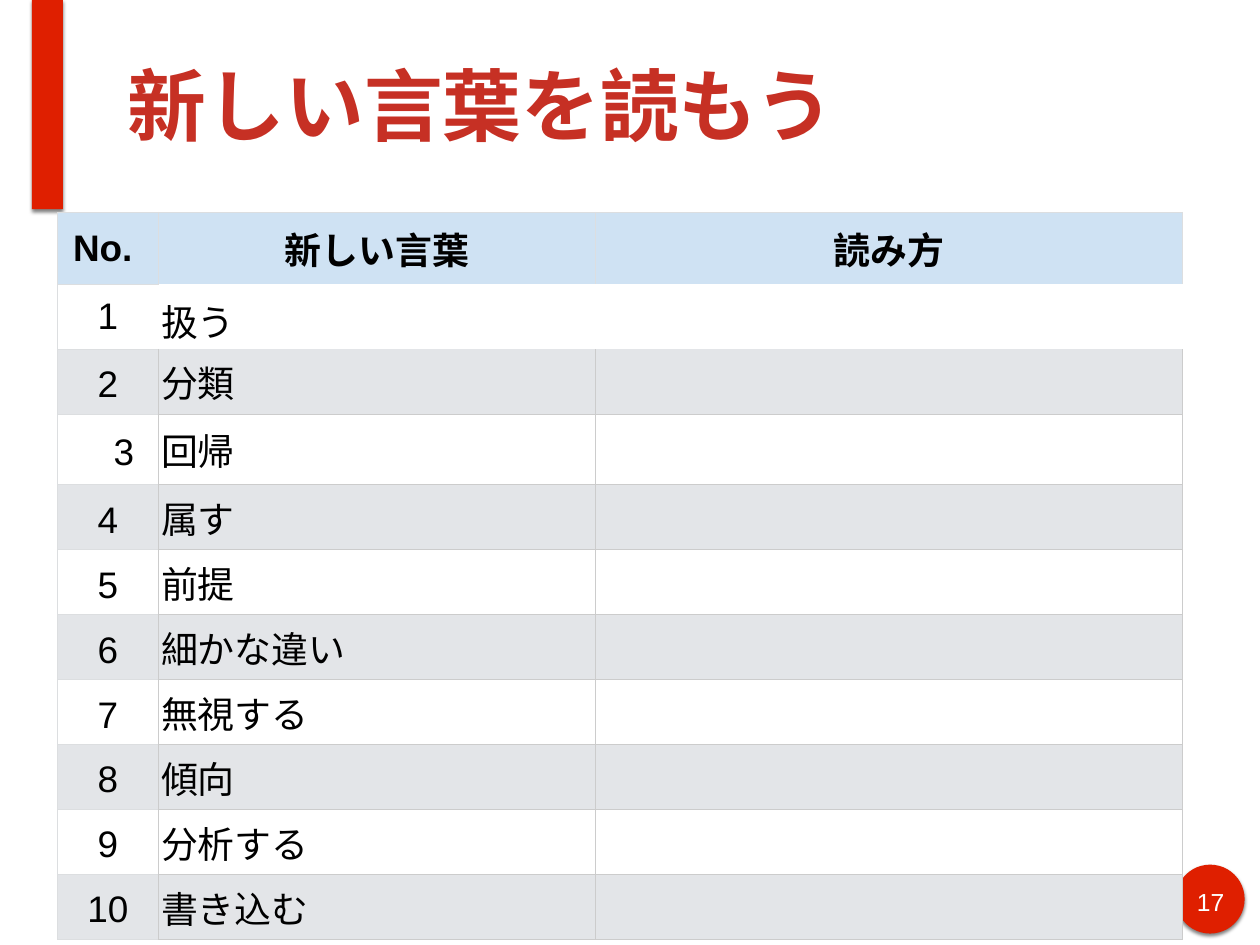
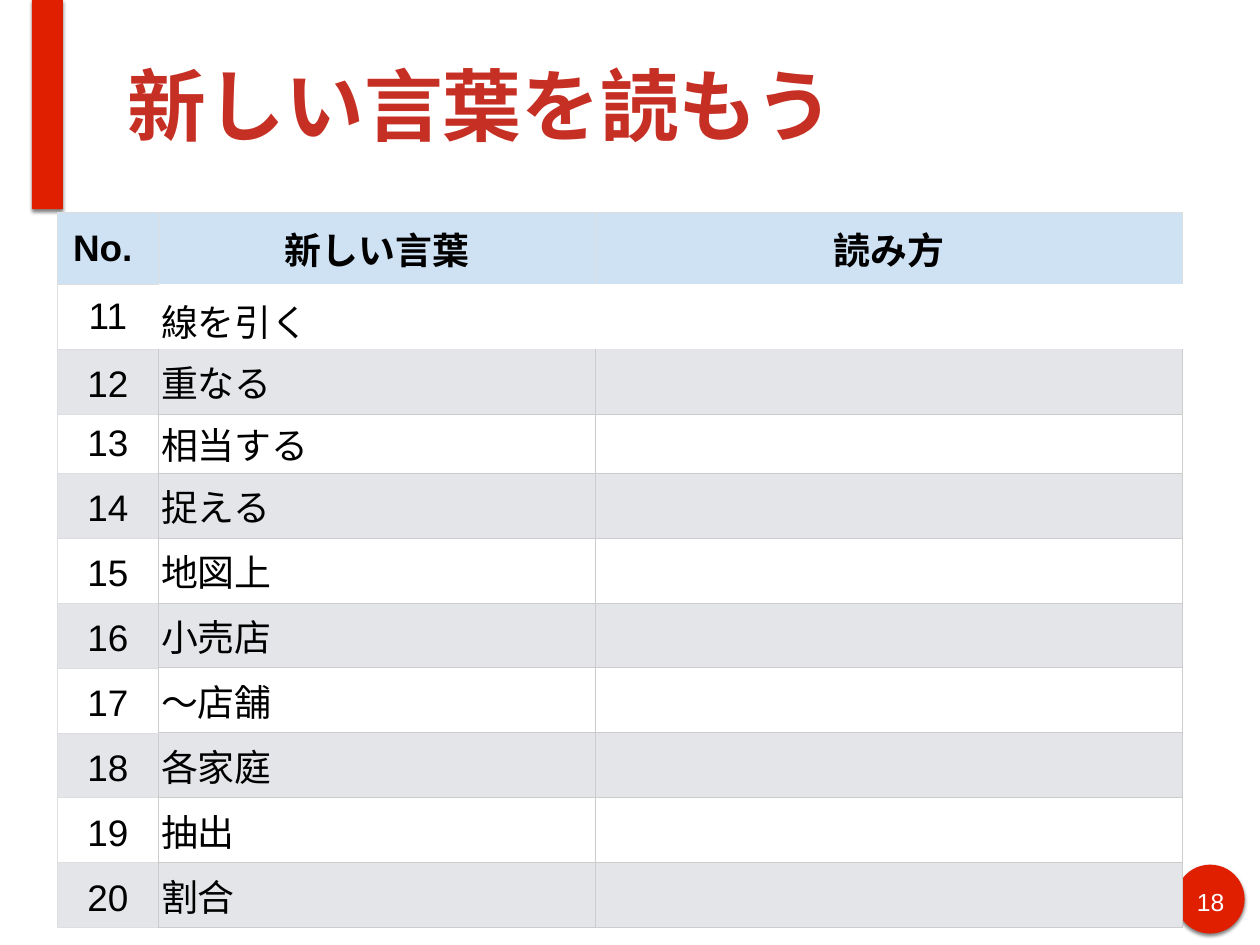
from dataclasses import dataclass
from lxml.etree import SubElement
from pptx import Presentation
from pptx.dml.color import RGBColor
from pptx.enum.shapes import MSO_SHAPE as Shape
from pptx.enum.text import MSO_ANCHOR as Anchor, PP_ALIGN as Align
from pptx.oxml.ns import qn
from pptx.util import Pt

TITLE = "新しい言葉を読もう"
HEADS = ["No. ", "新しい言葉", "読み方"]
# "third" gives the height, line spacing and indent of the third word's row.
PAGES = [
    dict(page=17, first=1, third=(57.5, 1.15, 26), words=[
        "扱う", "分類", "回帰", "属す", "前提",
        "細かな違い", "無視する", "傾向", "分析する", "書き込む"]),
    dict(page=18, first=11, third=(48, 1.0, 0), words=[
        "線を引く", "重なる", "相当する", "捉える", "地図上",
        "小売店", "～店舗", "各家庭", "抽出", "割合"]),
]


@dataclass(frozen=True)
class Theme:
    font: str = "Arial"
    red: str = "DF1F00"
    title: str = "C63024"
    black: str = "000000"
    white: str = "FFFFFF"
    head: str = "CFE2F3"
    band: str = "E3E5E8"
    pale: tuple = ("DCDEE0", 0.75)
    grey: tuple = ("CCCCCC", 0.94)
    big: int = 64
    body: int = 30
    small: int = 20


T = Theme()
LEFT, TOP = 46.7, 172.5
COLS = [82, 355.5, 476.5]
HEAD_H, ROW_H = 58.5, 52.8
PAD, WIDE = (4.5,) * 4, (6.75,) * 4
NUMBER, SLIM = (6.75, 4, 6.75, 4), (2.2, 1, 2.2, 1)
NO_STYLE = "{2D5ABB26-0587-4C30-8999-92F81FD0307C}"


def rgb(code):
    return RGBColor.from_string(code)


def box(left, top, width, height):
    return [Pt(v) for v in (left, top, width, height)]


def pad(item, sides):
    """Set the margins of a cell or text frame: left, top, right, bottom."""
    for name, size in zip(("left", "top", "right", "bottom"), sides):
        setattr(item, f"margin_{name}", Pt(size))


def write(frame, text, size, color, bold=False, align=Align.LEFT, gap=1.0):
    frame.text = text
    para = frame.paragraphs[0]
    para.alignment, para.line_spacing = align, gap
    font = para.font
    font.name, font.size, font.bold = T.font, Pt(size), bold
    font.color.rgb = rgb(color)
    return para


def mark(slide, kind, *place):
    """Draw a red shape with a soft shadow below it."""
    shape = slide.shapes.add_shape(kind, *box(*place))
    shape.fill.solid()
    shape.fill.fore_color.rgb = rgb(T.red)
    shape.line.fill.background()
    shape.shadow.inherit = False
    effects = shape.element.spPr.find(qn("a:effectLst"))
    shade = SubElement(effects, qn("a:outerShdw"), blurRad=str(Pt(3)),
                       dist=str(Pt(2)), dir="5400000", rotWithShape="0")
    color = SubElement(shade, qn("a:srgbClr"), val=T.black)
    SubElement(color, qn("a:alpha"), val="49000")


def frame_slide(slide, page):
    """Add the parts that all slides share."""
    mark(slide, Shape.OVAL, 955.5, 702.7, 56, 56)
    mark(slide, Shape.RECTANGLE, 26, 0, 25.2, 170)
    note = slide.shapes.add_textbox(*box(966.2, 716.4, 35.3, 28)).text_frame
    note.word_wrap = True
    pad(note, PAD)
    write(note, str(page), T.small, T.white, align=Align.CENTER)

    title = slide.shapes.title
    title.left, title.top, title.width, title.height = box(99.5, 8.6, 874, 152.6)
    text = title.text_frame
    text.word_wrap, text.vertical_anchor = True, Anchor.MIDDLE
    pad(text, PAD)
    write(text, TITLE, T.big, T.title, bold=True)


def edges(row, col):
    """Return the line style and the sides that carry a line."""
    if row == 0:
        return T.pale, "LRTB" if col == 0 else "LRT"
    if col == 0:
        return T.pale, "LTB" if row == 1 else "LRTB"
    return T.grey, {1: "", 2: "LRB", 3: "LRT", 4: "LRB"}.get(row, "LRTB")


def rule(cell, row, col):
    style, sides = edges(row, col)
    props = cell._tc.get_or_add_tcPr()
    for side in sides:
        color, width = T.grey if (col, side) == (0, "R") and row else style
        line = SubElement(props, qn(f"a:ln{side}"), w=str(Pt(width)))
        fill = SubElement(line, qn("a:solidFill"))
        SubElement(fill, qn("a:srgbClr"), val=color)


def add_words(slide, first, third, words):
    tall, gap3, indent = third
    highs = [HEAD_H] + [ROW_H] * len(words)
    highs[3] = tall
    rows = [HEADS] + [[str(n), word, ""] for n, word in enumerate(words, first)]

    shape = slide.shapes.add_table(len(rows), len(COLS),
                                   *box(LEFT, TOP, sum(COLS), sum(highs)))
    table = shape.table
    table._tbl.tblPr.find(qn("a:tableStyleId")).text = NO_STYLE
    for column, width in zip(table.columns, COLS):
        column.width = Pt(width)

    for r, (texts, high) in enumerate(zip(rows, highs)):
        table.rows[r].height = Pt(high)
        shade = T.head if r == 0 else T.white if r % 2 else T.band
        for c, text in enumerate(texts):
            cell = table.cell(r, c)
            rule(cell, r, c)
            cell.fill.solid()
            cell.fill.fore_color.rgb = rgb(shade)
            cell.vertical_anchor = Anchor.MIDDLE
            pad(cell, WIDE if r == 0 else NUMBER if c == 0 else SLIM)
            if not text:
                continue
            gap = 1.0
            if c == 0 and r > 1:
                gap = gap3 if r == 3 else 1.15
            elif c == 1 and r == 1:
                gap = 1.15
            align = Align.CENTER if r == 0 or c == 0 else Align.LEFT
            para = write(cell.text_frame, text, T.body, T.black, r == 0, align, gap)
            if c == 0 and r == 3 and indent:
                para._p.get_or_add_pPr().set("marL", str(Pt(indent)))


def main():
    deck = Presentation()
    deck.slide_width, deck.slide_height = Pt(1024), Pt(768)
    for data in PAGES:
        slide = deck.slides.add_slide(deck.slide_layouts[5])
        frame_slide(slide, data["page"])
        add_words(slide, data["first"], data["third"], data["words"])
    deck.save("out.pptx")


if __name__ == "__main__":
    main()
